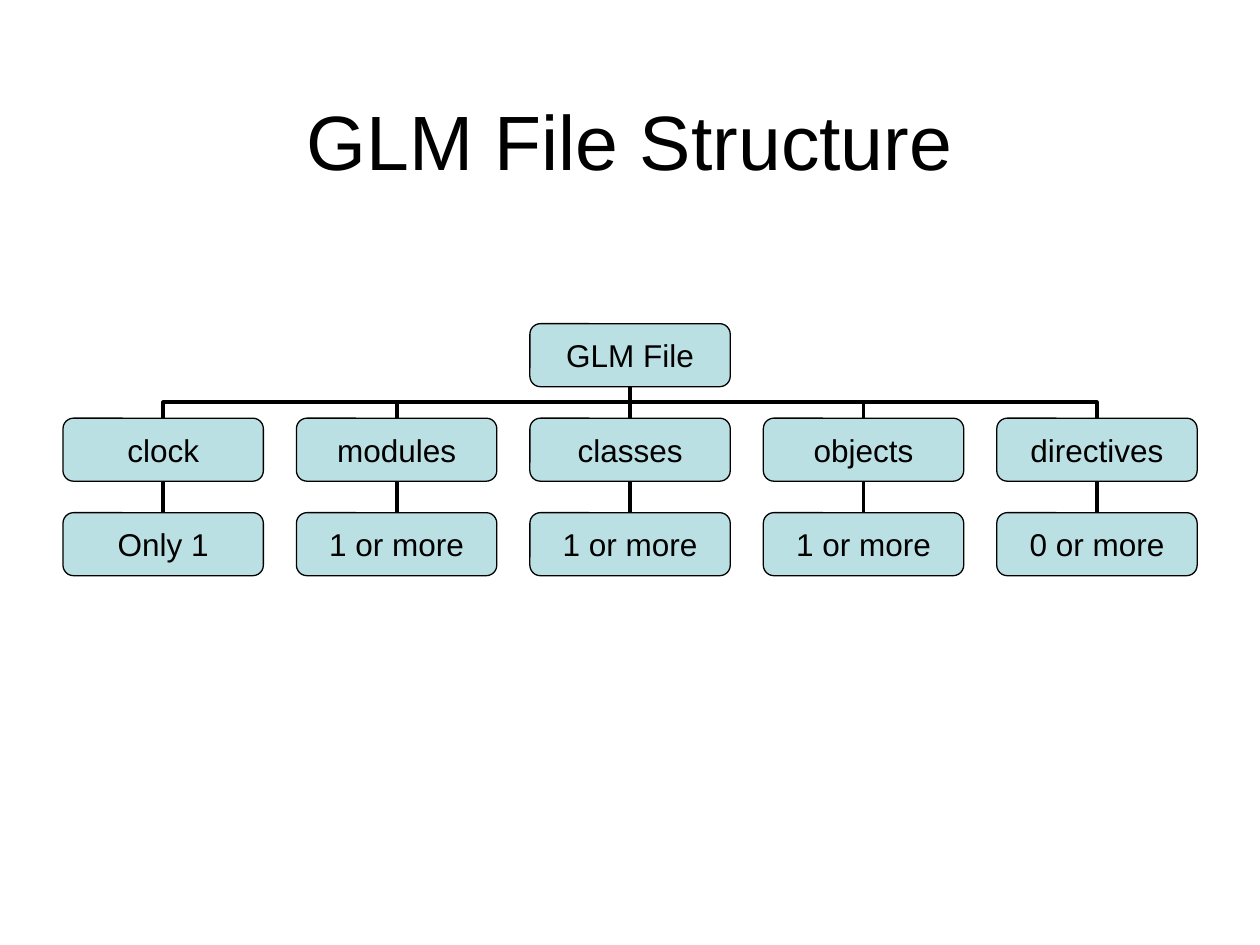
from lxml.etree import SubElement
from pptx import Presentation
from pptx.dml.color import RGBColor
from pptx.enum.shapes import MSO_CONNECTOR as CONN, MSO_SHAPE as SHAPE
from pptx.enum.text import MSO_ANCHOR as ANCHOR, PP_ALIGN as ALIGN
from pptx.oxml.ns import qn
from pptx.util import Pt

FONT, INK, FILL = "Arial", "000000", "BBE0E3"
BOX_W, BOX_H = 114.5, 36
LEFT, COL_STEP = 36, 133.4
TOP, ROW_STEP = 185, 54

# Each branch of the tree: section and how many are allowed
BRANCHES = [
    ("clock", "Only 1"),
    ("modules", "1 or more"),
    ("classes", "1 or more"),
    ("objects", "1 or more"),
    ("directives", "0 or more"),
]
ROOT_COL = len(BRANCHES) // 2


def rgb(color):
    return RGBColor.from_string(color)


def set_text(sp, text, size):
    tf = sp.text_frame
    tf.text = text
    tf.vertical_anchor = ANCHOR.MIDDLE
    p = tf.paragraphs[0]
    p.alignment = ALIGN.CENTER
    p.font.name, p.font.size = FONT, Pt(size)
    p.font.color.rgb = rgb(INK)


def add_title(s, text):
    sp = s.shapes.title
    sp.left, sp.top, sp.width, sp.height = Pt(36), Pt(48), Pt(648), Pt(63.5)
    set_text(sp, text, 44)


def add_box(s, col, row, text):
    sp = s.shapes.add_shape(SHAPE.ROUNDED_RECTANGLE,
                            Pt(LEFT + col * COL_STEP), Pt(TOP + row * ROW_STEP),
                            Pt(BOX_W), Pt(BOX_H))
    sp.shadow.inherit = False
    sp.fill.solid()
    sp.fill.fore_color.rgb = rgb(FILL)
    sp.line.color.rgb = rgb(INK)
    sp.line.width = Pt(0.75)
    set_text(sp, text, 18)
    sp.text_frame.word_wrap = False


def add_line(s, kind, x1, y1, x2, y2):
    cn = s.shapes.add_connector(kind, Pt(x1), Pt(y1), Pt(x2), Pt(y2))
    cn.line.color.rgb = rgb(INK)
    cn.line.width = Pt(2.25)
    SubElement(cn._element.spPr, qn("a:effectLst"))
    return cn


def link(s, parent_col, col, parent_row):
    """Join the bottom of a parent box to the top of the box in the next row."""
    x1, x2 = (LEFT + c * COL_STEP + BOX_W / 2 for c in (parent_col, col))
    y1 = TOP + parent_row * ROW_STEP + BOX_H
    y2 = TOP + (parent_row + 1) * ROW_STEP
    if parent_col == col:
        add_line(s, CONN.STRAIGHT, x1, y1, x2, y2)
        return
    # An elbow runs sideways first, so it is turned a quarter to leave downwards
    mid_x, mid_y = (x1 + x2) / 2, (y1 + y2) / 2
    side = 1 if x2 < x1 else -1
    dx, dy = side * (y2 - y1) / 2, abs(x2 - x1) / 2
    cn = add_line(s, CONN.ELBOW, mid_x - dx, mid_y - dy, mid_x + dx, mid_y + dy)
    degrees = 90 if side == 1 else 270
    cn._element.spPr.find(qn("a:xfrm")).set("rot", str(degrees * 60000))


def main():
    prs = Presentation()
    prs.slide_width, prs.slide_height = Pt(720), Pt(540)
    s = prs.slides.add_slide(prs.slide_layouts[5])
    add_title(s, "GLM File Structure")

    # Lines go behind the boxes
    for col in range(len(BRANCHES)):
        link(s, ROOT_COL, col, 0)
        link(s, col, col, 1)

    # Boxes
    add_box(s, ROOT_COL, 0, "GLM File")
    for col, branch in enumerate(BRANCHES):
        for row, text in enumerate(branch, 1):
            add_box(s, col, row, text)

    prs.save("out.pptx")


if __name__ == "__main__":
    main()
